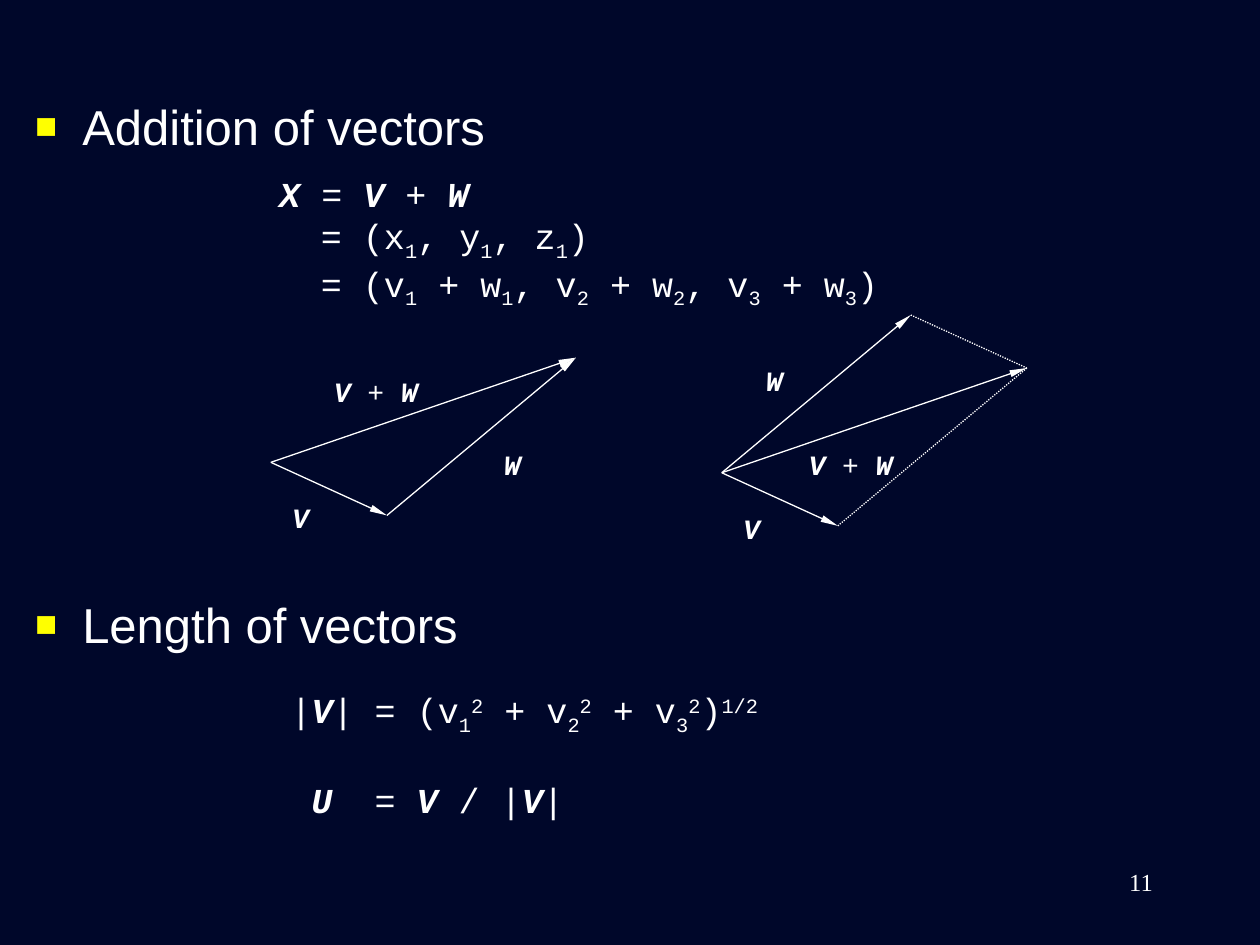
from dataclasses import dataclass

from lxml.etree import SubElement
from pptx import Presentation
from pptx.dml.color import RGBColor
from pptx.enum.dml import MSO_LINE
from pptx.enum.shapes import MSO_CONNECTOR
from pptx.enum.text import MSO_AUTO_SIZE, PP_ALIGN
from pptx.oxml.ns import qn
from pptx.util import Cm, Pt


@dataclass(frozen=True)
class Theme:
    background: RGBColor = RGBColor(0x00, 0x07, 0x2A)
    ink: RGBColor = RGBColor(0xFF, 0xFF, 0xFF)
    bullet: str = "FFFF00"
    heading_font: str = "Arial"
    formula_font: str = "Courier New"
    number_font: str = "Times New Roman"
    heading_size: Pt = Pt(28)
    formula_size: Pt = Pt(20)
    label_size: Pt = Pt(16)
    number_size: Pt = Pt(14)
    line_width: Pt = Pt(0.75)


theme = Theme()


def style(paragraph, font_name, size):
    paragraph.font.name = font_name
    paragraph.font.size = size
    paragraph.font.color.rgb = theme.ink


def add_formula(left, top, width, height, size, lines):
    """Lines are (margin, markup); ~ parts runs,
    a leading * marks a vector, _ a subscript and ^ a superscript."""
    frame = slide.shapes.add_textbox(Cm(left), Cm(top), Cm(width), Cm(height)).text_frame
    frame.word_wrap = False
    frame.auto_size = MSO_AUTO_SIZE.SHAPE_TO_FIT_TEXT
    for index, (margin, markup) in enumerate(lines):
        paragraph = frame.paragraphs[0] if index == 0 else frame.add_paragraph()
        properties = paragraph._p.get_or_add_pPr()
        properties.set("marL", str(Cm(margin)))
        properties.set("indent", "0")
        style(paragraph, theme.formula_font, size)
        for part in markup.split("~"):
            run = paragraph.add_run()
            run.text = part.lstrip("*_^")
            if part.startswith("*"):
                run.font.bold = run.font.italic = True
            elif part[0] in "_^":
                run.font._element.set("baseline", "-25000" if part[0] == "_" else "30000")
    return frame


presentation = Presentation()
presentation.slide_width, presentation.slide_height = Cm(25.4), Cm(19.05)
slide = presentation.slides.add_slide(presentation.slide_layouts[6])
slide.background.fill.solid()
slide.background.fill.fore_color.rgb = theme.background

# Bulleted headings, spaced apart to leave room for the formulas and diagrams
headings = slide.shapes.add_textbox(Cm(0.46), Cm(1.83), Cm(23.93), Cm(15.44)).text_frame
headings.word_wrap = True
headings.margin_top = Cm(0.12)
for index, heading in enumerate(["Addition of vectors", "Length of vectors"]):
    paragraph = headings.paragraphs[0] if index == 0 else headings.add_paragraph()
    paragraph.text = heading
    if index:
        paragraph.space_before = Pt(251)
    properties = paragraph._p.get_or_add_pPr()
    properties.set("marL", str(Cm(0.95)))
    properties.set("indent", str(Cm(-0.95)))
    bullet_color = SubElement(properties, qn("a:buClr"))
    SubElement(bullet_color, qn("a:srgbClr"), val=theme.bullet)
    SubElement(properties, qn("a:buSzPct"), val="75000")
    SubElement(properties, qn("a:buFont"), typeface=theme.heading_font)
    SubElement(properties, qn("a:buChar"), char="■")
    style(paragraph, theme.heading_font, theme.heading_size)

# Page number
number = slide.shapes.add_textbox(Cm(18.21), Cm(17.35), Cm(5.28), Cm(1.27)).text_frame
number.word_wrap = True
number.paragraphs[0].text = "11"
number.paragraphs[0].alignment = PP_ALIGN.RIGHT
style(number.paragraphs[0], theme.number_font, theme.number_size)

# Addition formula: continuation lines align on the equals sign
CHARACTER = 0.42  # width of one formula character
MARGIN = 0.53
add_formula(4.85, 3.35, 13.15, 3.02, theme.formula_size, [
    (MARGIN, "*X~ = ~*V~ + ~*W"),
    (MARGIN + 2 * CHARACTER, "= (x~_1~, y~_1~, z~_1~)"),
    (MARGIN + 2 * CHARACTER, "= (v~_1~ + w~_1~, v~_2~ + w~_2~, v~_3~ + w~_3~)"),
])

# Vector diagrams: triangle rule, then parallelogram rule
ZERO, V, W = (0, 0), (2.34, 1.07), (3.81, -3.18)
SUM = (V[0] + W[0], V[1] + W[1])
SUM_MARKUP = "*V~ + ~*W"
LABEL_WIDTH, SUM_WIDTH = 0.86, 2.25
diagrams = [
    ((5.46, 9.32),
     [(ZERO, V, True), (V, SUM, True), (ZERO, SUM, True)],
     [("*V", 0.18, 0.65, LABEL_WIDTH), ("*W", 4.45, -0.43, LABEL_WIDTH),
      (SUM_MARKUP, 1.02, -1.89, SUM_WIDTH)]),
    ((14.55, 9.53),
     [(ZERO, V, True), (V, SUM, False), (ZERO, SUM, True), (ZERO, W, True), (W, SUM, False)],
     [("*V", 0.18, 0.65, LABEL_WIDTH), ("*W", 0.64, -2.32, LABEL_WIDTH),
      (SUM_MARKUP, 1.5, -0.64, SUM_WIDTH)]),
]
for (origin_x, origin_y), vectors, labels in diagrams:
    for start, end, is_arrow in vectors:
        vector = slide.shapes.add_connector(
            MSO_CONNECTOR.STRAIGHT,
            Cm(origin_x + start[0]), Cm(origin_y + start[1]),
            Cm(origin_x + end[0]), Cm(origin_y + end[1]))
        vector.line.color.rgb = theme.ink
        vector.line.width = theme.line_width
        if is_arrow:
            SubElement(vector.line._get_or_add_ln(), qn("a:tailEnd"),
                       type="triangle", w="sm", len="lg")
        else:
            vector.line.dash_style = MSO_LINE.ROUND_DOT
        SubElement(vector._element.spPr, qn("a:effectLst"))
    for markup, x, y, width in labels:
        add_formula(origin_x + x, origin_y + y, width, 0.94, theme.label_size, [(0, markup)])

# Length and unit vector formulas, with U spaced out to align the equals signs
length = add_formula(5.61, 13.76, 9.95, 2.92, theme.formula_size, [
    (0, "|~*V~| = (v~_1~^2~ + v~_2~^2~ + v~_3~^2~)~^1/2"),
    (CHARACTER, "*U~ = ~*V~ / |~*V~|"),
])
unit_vector = length.paragraphs[1]
unit_vector.space_before = Pt(24)
unit_vector.runs[0].font._element.set("spc", "1200")

presentation.save("out.pptx")
